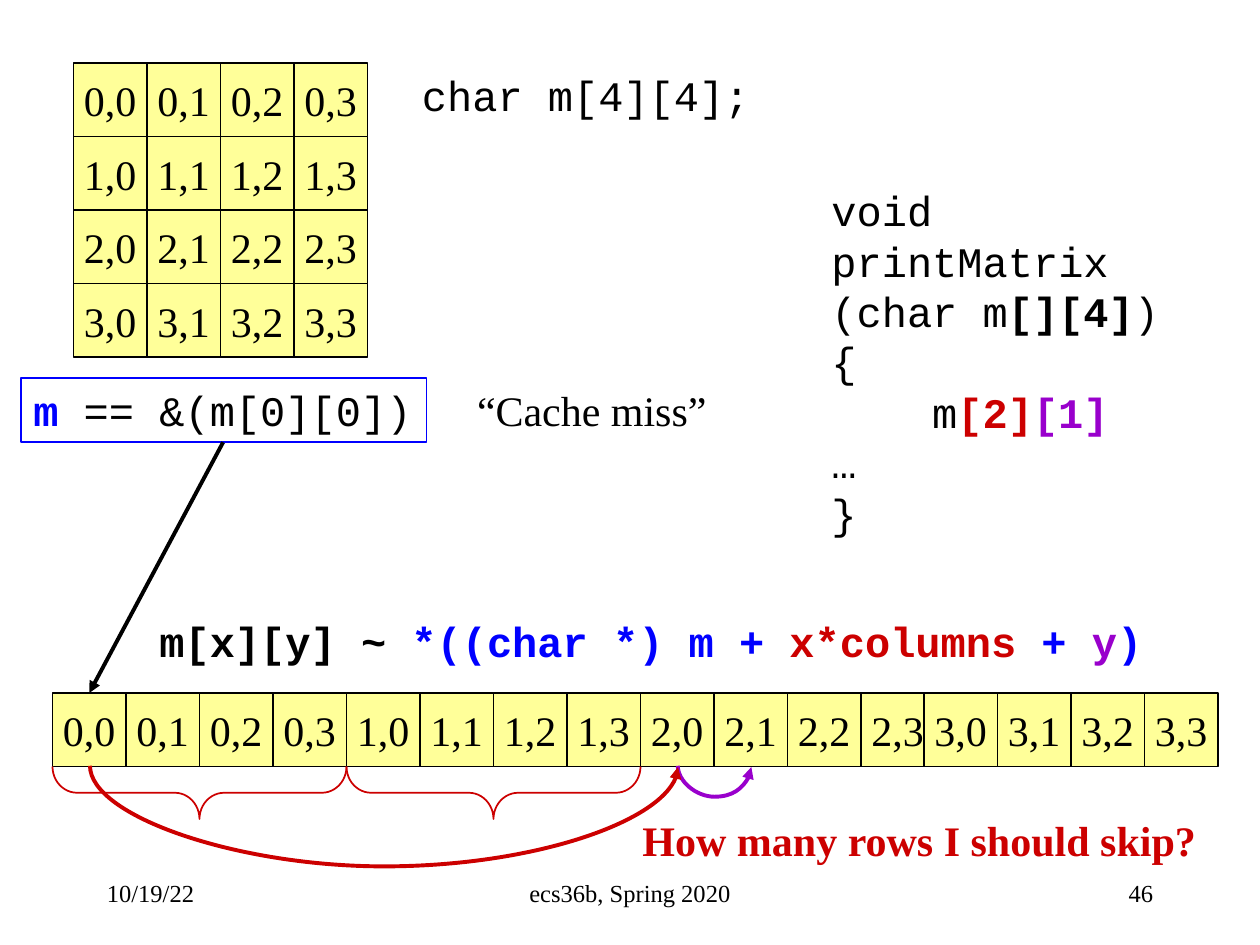
"""Build the slide that maps a two-dimensional matrix onto linear memory."""

import dataclasses

import lxml.etree
import pptx
import pptx.dml.color
import pptx.enum.shapes
import pptx.enum.text
import pptx.oxml.ns
import pptx.shapes.autoshape
import pptx.shapes.connector
import pptx.slide
import pptx.text.text
import pptx.util

EMU_PER_PX = 9525
CELL = 56
ORDER = 4
MATRIX_LEFT, MATRIX_TOP = 56, 48
MEMORY_LEFT, MEMORY_TOP = 40, 528
LAST_ROW_OVERLAP = 8
ALIGN = pptx.enum.text.PP_ALIGN
ANCHOR = pptx.enum.text.MSO_ANCHOR
SHAPE = pptx.enum.shapes.MSO_SHAPE
CONNECTOR = pptx.enum.shapes.MSO_CONNECTOR


@dataclasses.dataclass(frozen=True)
class Theme:
    serif: str = "Times New Roman"
    mono: str = "Courier New"
    body_size: int = 24
    footer_size: int = 14
    thin: float = 1
    thick: float = 2.25
    black: str = "000000"
    blue: str = "0000FF"
    red: str = "CC0000"
    purple: str = "9900CC"
    yellow: str = "FFFF99"


THEME = Theme()


@dataclasses.dataclass(frozen=True)
class Run:
    text: str
    color: str = THEME.black
    bold: bool = False


@dataclasses.dataclass(frozen=True)
class Box:
    left: int
    top: int
    width: int
    height: int


@dataclasses.dataclass(frozen=True)
class Label:
    box: Box
    lines: list[list[Run]]
    font: str = THEME.mono
    border: str | None = None


@dataclasses.dataclass(frozen=True)
class Footer:
    box: Box
    text: str
    align: ALIGN


LABELS = [
    Label(Box(312, 48, 269, 48), [[Run("char m[4][4];")]]),
    Label(
        Box(16, 288, 309, 49),
        [[Run("m", THEME.blue, True), Run(" == &(m[0][0])")]],
        border=THEME.blue,
    ),
    Label(
        Box(624, 136, 269, 278),
        [
            [Run("void")],
            [Run("printMatrix")],
            [Run("(char m"), Run("[][4]", bold=True), Run(")")],
            [Run("{")],
            [Run("    m"), Run("[2]", THEME.red, True), Run("[1]", THEME.purple, True)],
            [Run("…")],
            [Run("}")],
        ],
    ),
    Label(
        Box(480, 616, 442, 48),
        [[Run("How many rows I should skip?", THEME.red, True)]],
        font=THEME.serif,
    ),
    Label(
        Box(112, 464, 768, 48),
        [
            [
                Run("m[x][y] ~ ", bold=True),
                Run("*((char *) m + ", THEME.blue, True),
                Run("x*columns", THEME.red, True),
                Run(" + ", THEME.blue, True),
                Run("y", THEME.purple, True),
                Run(")", THEME.blue, True),
            ]
        ],
    ),
    Label(Box(354, 288, 195, 49), [[Run("“Cache miss”")]], font=THEME.serif),
]

FOOTERS = [
    Footer(Box(72, 656, 200, 48), "10/19/22", ALIGN.LEFT),
    Footer(Box(328, 656, 304, 48), "ecs36b, Spring 2020", ALIGN.CENTER),
    Footer(Box(688, 656, 200, 48), "46", ALIGN.RIGHT),
]


def px(length: int) -> int:
    return length * EMU_PER_PX


def rgb(color: str) -> pptx.dml.color.RGBColor:
    return pptx.dml.color.RGBColor.from_string(color)


def place(box: Box) -> list[int]:
    return [px(length) for length in dataclasses.astuple(box)]


def write_text(
    frame: pptx.text.text.TextFrame,
    lines: list[list[Run]],
    *,
    font: str = THEME.serif,
    size: int = THEME.body_size,
    align: ALIGN = ALIGN.LEFT,
    anchor: ANCHOR = ANCHOR.TOP,
    wrap: bool = False,
) -> None:
    frame.word_wrap = wrap
    frame.vertical_anchor = anchor
    for index, line in enumerate(lines):
        paragraph = frame.add_paragraph() if index else frame.paragraphs[0]
        paragraph.alignment = align
        for part in line:
            run = paragraph.add_run()
            run.text = part.text
            run.font.name = font
            run.font.size = pptx.util.Pt(size)
            run.font.bold = part.bold
            run.font.color.rgb = rgb(part.color)


def set_line(line, color: str, width: float) -> None:
    line.color.rgb = rgb(color)
    line.width = pptx.util.Pt(width)


def draw_cell(slide: pptx.slide.Slide, left: int, top: int, row: int, column: int) -> None:
    shape = slide.shapes.add_shape(SHAPE.RECTANGLE, *place(Box(left, top, CELL, CELL)))
    shape.shadow.inherit = False
    shape.fill.solid()
    shape.fill.fore_color.rgb = rgb(THEME.yellow)
    set_line(shape.line, THEME.black, THEME.thin)
    write_text(
        shape.text_frame, [[Run(f"{row},{column}")]], align=ALIGN.CENTER, anchor=ANCHOR.MIDDLE
    )


def draw_label(slide: pptx.slide.Slide, label: Label) -> None:
    shape = slide.shapes.add_textbox(*place(label.box))
    if label.border:
        set_line(shape.line, label.border, THEME.thin)
    write_text(shape.text_frame, label.lines, font=label.font)
    shape.text_frame.auto_size = pptx.enum.text.MSO_AUTO_SIZE.SHAPE_TO_FIT_TEXT


def draw_footer(slide: pptx.slide.Slide, footer: Footer) -> None:
    shape = slide.shapes.add_textbox(*place(footer.box))
    write_text(
        shape.text_frame,
        [[Run(footer.text)]],
        size=THEME.footer_size,
        align=footer.align,
        anchor=ANCHOR.MIDDLE,
        wrap=True,
    )


def draw_brace(slide: pptx.slide.Slide, center: int) -> None:
    box = Box(center - 20, 604 - 2 * CELL, 40, ORDER * CELL)
    shape = slide.shapes.add_shape(SHAPE.LEFT_BRACE, *place(box))
    shape.rotation = 270
    shape.adjustments[0] = 0.47
    shape.shadow.inherit = False
    shape.fill.background()
    set_line(shape.line, THEME.red, THEME.thin)


def draw_arrow(
    slide: pptx.slide.Slide, kind: CONNECTOR, start: tuple[int, int], end: tuple[int, int], color: str
) -> pptx.shapes.connector.Connector:
    connector = slide.shapes.add_connector(kind, *map(px, start + end))
    set_line(connector.line, color, THEME.thick)
    properties = connector.element.spPr
    qn = pptx.oxml.ns.qn
    lxml.etree.SubElement(properties.find(qn("a:ln")), qn("a:tailEnd"), type="triangle")
    lxml.etree.SubElement(properties, qn("a:effectLst"))
    return connector


def draw_jump(slide: pptx.slide.Slide, start: int, end: int, depth: int, color: str) -> None:
    center, half = (start + end) // 2, (end - start) // 2
    level = MEMORY_TOP + CELL
    connector = draw_arrow(
        slide, CONNECTOR.CURVE, (center + 1, level - half), (center, level + half), color
    )
    properties = connector.element.spPr
    qn = pptx.oxml.ns.qn
    properties.find(qn("a:xfrm")).set("rot", str(270 * 60000))
    guides = properties.find(qn("a:prstGeom")).get_or_add_avLst()
    lxml.etree.SubElement(guides, qn("a:gd"), name="adj1", fmla=f"val {depth * 100000}")


def main() -> None:
    presentation = pptx.Presentation()
    presentation.slide_width, presentation.slide_height = px(960), px(720)
    slide = presentation.slides.add_slide(presentation.slide_layouts[6])
    for row in range(ORDER):
        for column in range(ORDER):
            draw_cell(slide, MATRIX_LEFT + column * CELL, MATRIX_TOP + row * CELL, row, column)
    for index in range(ORDER * ORDER):
        row, column = divmod(index, ORDER)
        overlap = LAST_ROW_OVERLAP if row == ORDER - 1 else 0
        draw_cell(slide, MEMORY_LEFT + index * CELL - overlap, MEMORY_TOP, row, column)
    for label in LABELS:
        draw_label(slide, label)
    for footer in FOOTERS:
        draw_footer(slide, footer)
    for row in range(2):
        draw_brace(slide, MEMORY_LEFT + (row * ORDER + 2) * CELL)
    first, target, neighbor = (MEMORY_LEFT + index * CELL + CELL // 2 for index in (0, 8, 9))
    draw_arrow(slide, CONNECTOR.STRAIGHT, (170, 337), (first, MEMORY_TOP), THEME.black)
    draw_jump(slide, target, neighbor, 24, THEME.purple)
    draw_jump(slide, first, target, 78, THEME.red)
    presentation.save("out.pptx")


if __name__ == "__main__":
    main()
